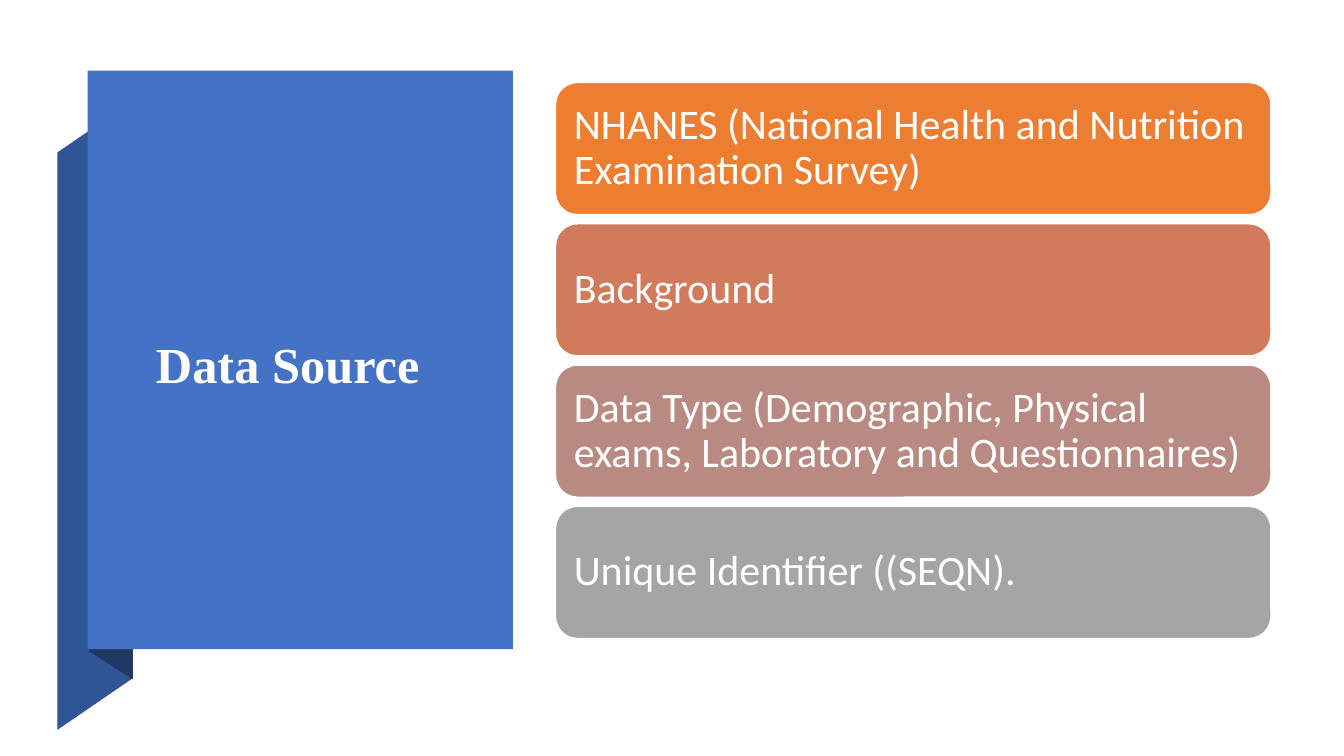
from dataclasses import dataclass

import pptx
import pptx.dml.color
import pptx.enum.shapes
import pptx.enum.text
import pptx.shapes.autoshape
import pptx.slide
import pptx.text.text
import pptx.util

Cm = pptx.util.Cm
Pt = pptx.util.Pt
Shape = pptx.shapes.autoshape.Shape
SHAPES = pptx.enum.shapes.MSO_SHAPE


@dataclass(frozen=True)
class Theme:
    white: str = "FFFFFF"
    panel: str = "4472C4"
    ribbon: str = "2F5597"
    fold: str = "203864"
    title_font: str = "Times New Roman"
    body_font: str = "Calibri"
    title_size: int = 36
    body_size: int = 30


@dataclass(frozen=True)
class Card:
    text: str
    fill: str


@dataclass(frozen=True)
class Outline:
    points: tuple[tuple[float, float], ...]
    fill: str


THEME = Theme()

RIBBON_PARTS = (
    Outline(((1.45, 18.39), (3.35, 17.09), (3.35, 2.54), (1.45, 3.84)), THEME.ribbon),
    Outline(((2.24, 16.41), (3.35, 17.12), (3.35, 2.51), (2.24, 1.78)), THEME.fold),
)

CARDS = (
    Card("NHANES (National Health and Nutrition Examination Survey)", "ED7D31"),
    Card("Background", "D17B5C"),
    Card("Data Type (Demographic, Physical exams, Laboratory and Questionnaires)", "B98A82"),
    Card("Unique Identifier ((SEQN).", "A5A5A5"),
)
CARD_LEFT, CARD_TOP = 14.0, 2.08
CARD_WIDTH, CARD_HEIGHT = 18.03, 3.33
CARD_PITCH = 3.56
CARD_INSET = 0.3


def color(value: str) -> pptx.dml.color.RGBColor:
    return pptx.dml.color.RGBColor.from_string(value)


def paint(shape: Shape, fill: str) -> None:
    """Give a shape a flat fill without line or shadow."""
    shape.shadow.inherit = False
    shape.fill.solid()
    shape.fill.fore_color.rgb = color(fill)
    shape.line.fill.background()


def write(frame: pptx.text.text.TextFrame, text: str, font: str, size: int, bold: bool = False) -> None:
    """Set one white, left-aligned paragraph, centred vertically."""
    frame.word_wrap = True
    frame.vertical_anchor = pptx.enum.text.MSO_ANCHOR.MIDDLE
    paragraph = frame.paragraphs[0]
    paragraph.text = text
    paragraph.alignment = pptx.enum.text.PP_ALIGN.LEFT
    paragraph.line_spacing = 0.9
    paragraph.font.name = font
    paragraph.font.size = Pt(size)
    paragraph.font.bold = bold
    paragraph.font.color.rgb = color(THEME.white)


def draw_outline(slide: pptx.slide.Slide, outline: Outline) -> None:
    start, *rest = [(Cm(x), Cm(y)) for x, y in outline.points]
    builder = slide.shapes.build_freeform(*start)
    builder.add_line_segments(rest, close=True)
    paint(builder.convert_to_shape(), outline.fill)


def draw_title_panel(slide: pptx.slide.Slide) -> None:
    panel = slide.shapes.add_shape(SHAPES.RECTANGLE, Cm(2.21), Cm(1.78), Cm(10.72), Cm(14.58))
    paint(panel, THEME.panel)
    title = slide.shapes.add_textbox(Cm(3.68), Cm(4.24), Cm(7.65), Cm(10.01))
    write(title.text_frame, "Data Source", THEME.title_font, THEME.title_size, bold=True)


def draw_card(slide: pptx.slide.Slide, card: Card, top: float) -> None:
    shape = slide.shapes.add_shape(
        SHAPES.ROUNDED_RECTANGLE, Cm(CARD_LEFT), Cm(top), Cm(CARD_WIDTH), Cm(CARD_HEIGHT)
    )
    paint(shape, card.fill)
    shape.line.color.rgb = color(THEME.white)
    shape.line.width = Pt(1)
    frame = shape.text_frame
    frame.margin_left = frame.margin_right = Cm(CARD_INSET)
    frame.margin_top = frame.margin_bottom = Cm(CARD_INSET)
    write(frame, card.text, THEME.body_font, THEME.body_size)


def main() -> None:
    presentation = pptx.Presentation()
    presentation.slide_width = Cm(33.87)
    presentation.slide_height = Cm(19.05)
    slide = presentation.slides.add_slide(presentation.slide_layouts[6])
    for outline in RIBBON_PARTS:
        draw_outline(slide, outline)
    draw_title_panel(slide)
    for index, card in enumerate(CARDS):
        draw_card(slide, card, CARD_TOP + index * CARD_PITCH)
    presentation.save("out.pptx")


if __name__ == "__main__":
    main()
